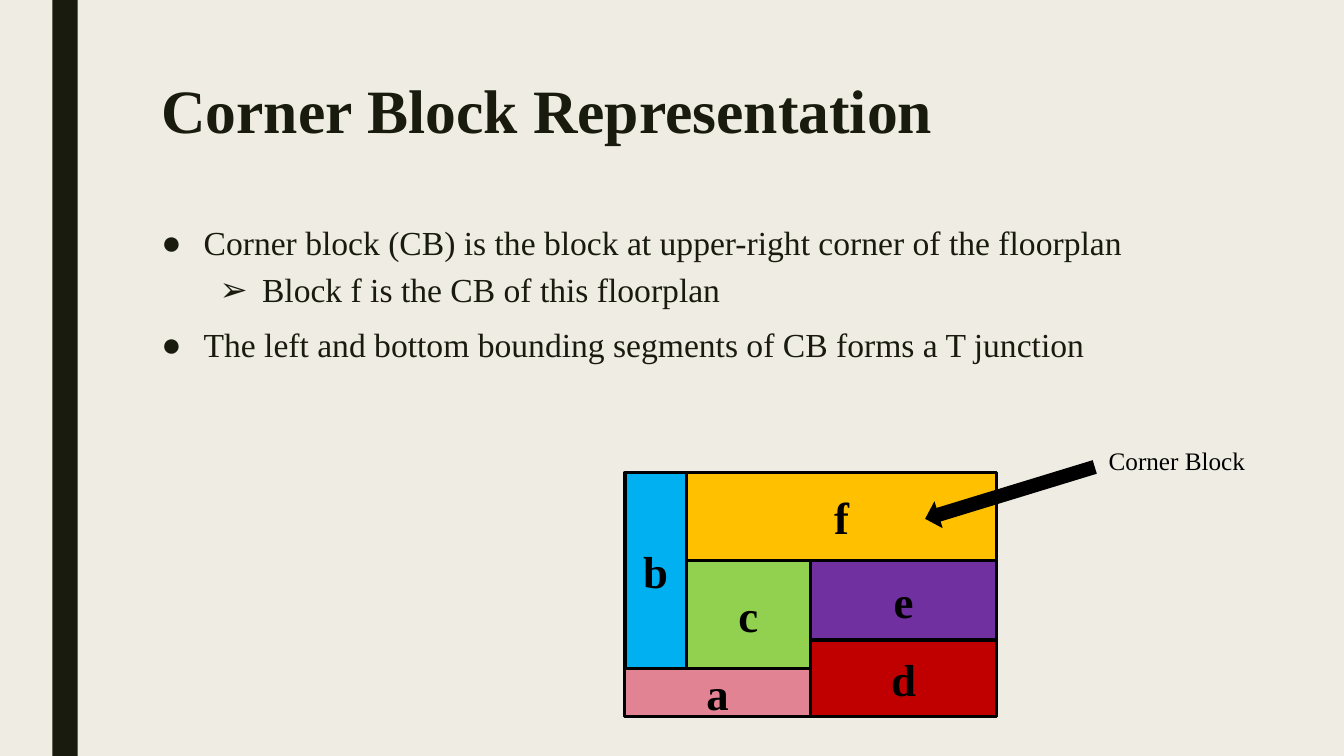
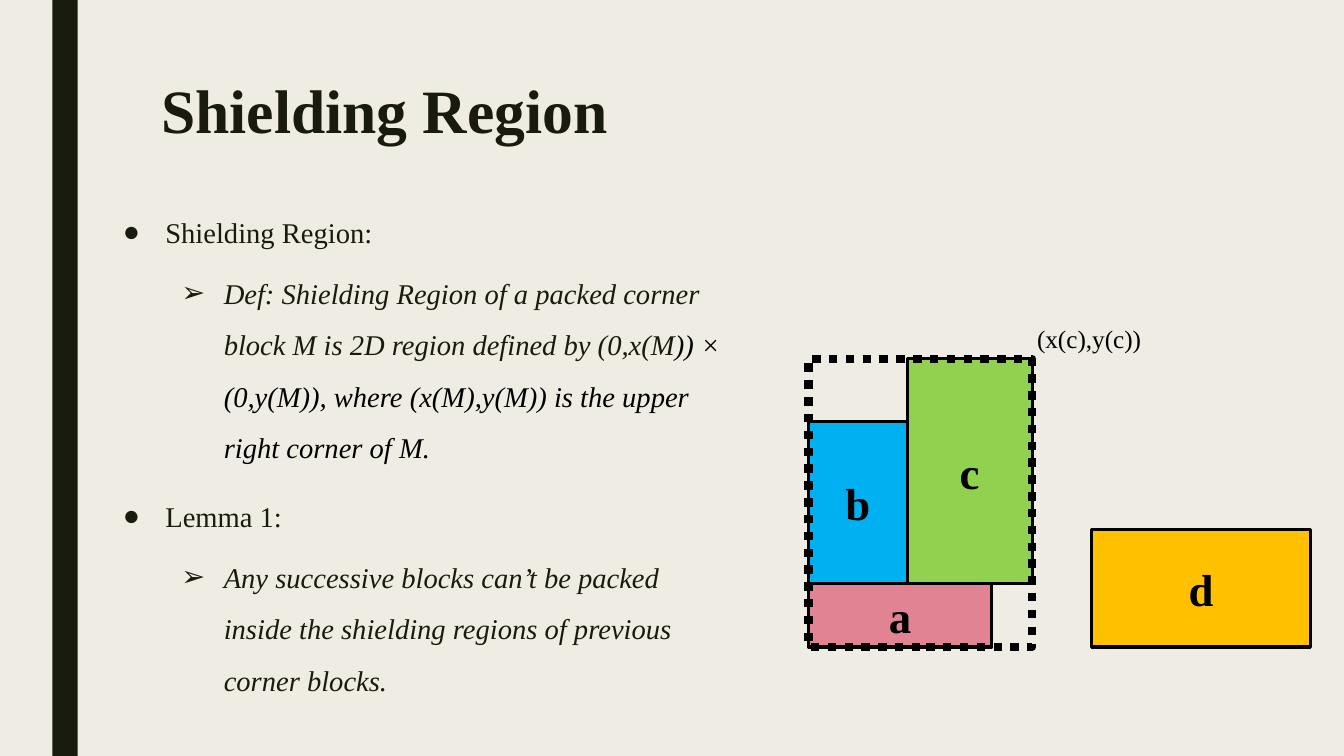
from lxml import etree
from pptx import Presentation
from pptx.dml.color import RGBColor
from pptx.enum.dml import MSO_LINE
from pptx.enum.shapes import MSO_SHAPE
from pptx.enum.text import MSO_ANCHOR, MSO_AUTO_SIZE, PP_ALIGN
from pptx.oxml.ns import qn
from pptx.util import Inches, Pt

RECTANGLE, LEFT_ARROW = MSO_SHAPE.RECTANGLE, MSO_SHAPE.LEFT_ARROW
TOP, MIDDLE = MSO_ANCHOR.TOP, MSO_ANCHOR.MIDDLE
LEFT, CENTER = PP_ALIGN.LEFT, PP_ALIGN.CENTER
NO_AUTOFIT = MSO_AUTO_SIZE.NONE
DOTTED = MSO_LINE.ROUND_DOT

SLIDE_HEIGHT = 7.5
SLIDE_WIDTH = SLIDE_HEIGHT * 16 / 9
FONT = "Times New Roman"
PAPER, INK, BLACK = "EFEDE3", "191B0E", "000000"
GOLD, PURPLE, GREEN = "FFC000", "7030A0", "92D050"
BLUE, RED, PINK = "00B0F0", "C00000", "E28394"
HANGING = 0.42
LEVELS = [("●", 0.42, 10), ("➢", 1, 5)]

CORNER_COLUMNS = [6.2, 6.81, 8.04, 9.89]
CORNER_ROWS = [4.69, 5.56, 6.35, 6.63, 7.11]
CORNER_BLOCKS = [
    ("f", GOLD, (1, 3), (0, 1)),
    ("e", PURPLE, (2, 3), (1, 2)),
    ("c", GREEN, (1, 2), (1, 3)),
    ("b", BLUE, (0, 1), (0, 3)),
    ("d", RED, (2, 3), (2, 4)),
    ("a", PINK, (0, 2), (3, 4)),
]
SHIELD_COLUMNS = [8.02, 9, 9.84, 10.24, 10.83, 13]
SHIELD_ROWS = [3.56, 4.18, 5.25, 5.79, 6.42]
SHIELD_BLOCKS = [
    ("c", GREEN, (1, 3), (0, 3)),
    ("b", BLUE, (0, 1), (1, 3)),
    ("a", PINK, (0, 2), (3, 4)),
    ("d", GOLD, (4, 5), (2, 4)),
]

CORNER_POINTS = [
    (0, [("Corner block (CB) is the block at upper-right corner of the floorplan", INK)]),
    (1, [("Block f is the CB of this floorplan", INK)]),
    (0, [("The left and bottom bounding segments of CB forms a T junction", INK)]),
]
SHIELD_POINTS = [
    (0, [("Shielding Region:", INK)]),
    (1, [
        ("Def: Shielding Region of a packed corner block M is 2D region defined by (0,x(M", INK),
        (")) × (0,y(M)), where (x(M),y(M)) is the upper right corner of M.", BLACK),
    ]),
    (0, [("Lemma 1:", INK)]),
    (1, [("Any successive blocks can’t be packed inside the shielding regions "
          "of previous corner blocks.", INK)]),
]


def rgb(value):
    """Turn a hex string into a colour."""
    return RGBColor.from_string(value)


def place(shape, left, top, width, height):
    """Position a shape in inches."""
    shape.left, shape.top = Inches(left), Inches(top)
    shape.width, shape.height = Inches(width), Inches(height)


def add_run(paragraph, text, size, colour=BLACK, bold=False, italic=False):
    """Append one formatted run."""
    run = paragraph.add_run()
    run.text = text
    font = run.font
    font.name, font.size = FONT, Pt(size)
    font.bold, font.italic = bold, italic
    font.color.rgb = rgb(colour)


def add_figure(slide, kind, box, fill=None, line=None, line_width=2.25):
    """Add a preset shape without shadow."""
    shape = slide.shapes.add_shape(kind, *map(Inches, box))
    shape.shadow.inherit = False
    if fill:
        shape.fill.solid()
        shape.fill.fore_color.rgb = rgb(fill)
    else:
        shape.fill.background()
    if line:
        shape.line.color.rgb = rgb(line)
        shape.line.width = Pt(line_width)
    else:
        shape.line.fill.background()
    return shape


def grid_box(columns, rows, across, down):
    """Return the box between two column edges and two row edges."""
    left, right = (columns[index] for index in across)
    top, bottom = (rows[index] for index in down)
    return left, top, right - left, bottom - top


def add_floorplan(slide, blocks, columns, rows):
    """Draw lettered blocks on a grid of edges."""
    for letter, colour, across, down in blocks:
        block = add_figure(slide, RECTANGLE, grid_box(columns, rows, across, down), colour, BLACK)
        block.text_frame.vertical_anchor = MIDDLE
        paragraph = block.text_frame.paragraphs[0]
        paragraph.alignment = CENTER
        add_run(paragraph, letter, 32, bold=True)


def add_label(slide, text, box):
    """Add a short caption."""
    frame = slide.shapes.add_textbox(*map(Inches, box)).text_frame
    frame.word_wrap = True
    add_run(frame.paragraphs[0], text, 18)


def set_bullet(paragraph, character, indent):
    """Give a paragraph a hanging bullet."""
    properties = paragraph._p.get_or_add_pPr()
    properties.set("marL", str(Inches(indent)))
    properties.set("indent", str(-Inches(HANGING)))
    etree.SubElement(properties, qn("a:buChar")).set("char", character)


def fill_body(slide, points, box, size, spacing, italic_details=False):
    """Write the bulleted list into the body placeholder."""
    body = slide.placeholders[1]
    place(body, *box)
    frame = body.text_frame
    frame.auto_size, frame.vertical_anchor = NO_AUTOFIT, TOP
    for index, (level, runs) in enumerate(points):
        paragraph = frame.add_paragraph() if index else frame.paragraphs[0]
        character, indent, before = LEVELS[level]
        paragraph.level, paragraph.alignment = level, LEFT
        paragraph.line_spacing = spacing
        paragraph.space_before, paragraph.space_after = Pt(before), Pt(2)
        set_bullet(paragraph, character, indent)
        for text, colour in runs:
            add_run(paragraph, text, size, colour, italic=italic_details and level == 1)


def style_template(presentation):
    """Set the shared slide size, background and title position."""
    presentation.slide_width = Inches(SLIDE_WIDTH)
    presentation.slide_height = Inches(SLIDE_HEIGHT)
    fill = presentation.slide_master.background.fill
    fill.solid()
    fill.fore_color.rgb = rgb(PAPER)
    place(presentation.slide_layouts[1].placeholders[0], 1.5, 0.75, 10.5, 1.62)


def add_titled_slide(presentation, title):
    """Add a slide with its side band and title."""
    slide = presentation.slides.add_slide(presentation.slide_layouts[1])
    add_figure(slide, RECTANGLE, (0.52, 0, 0.25, SLIDE_HEIGHT), INK)
    frame = slide.shapes.title.text_frame
    frame.auto_size, frame.vertical_anchor = NO_AUTOFIT, TOP
    paragraph = frame.paragraphs[0]
    paragraph.alignment, paragraph.line_spacing = LEFT, 0.89
    add_run(paragraph, title, 44, INK, bold=True)
    return slide


def build_corner_slide(presentation):
    """Show the corner block of a floorplan."""
    slide = add_titled_slide(presentation, "Corner Block Representation")
    fill_body(slide, CORNER_POINTS, (1.5, 2.18, 10.5, 3.92), 24, 0.94)
    add_floorplan(slide, CORNER_BLOCKS, CORNER_COLUMNS, CORNER_ROWS)
    arrow = add_figure(slide, LEFT_ARROW, (9.14, 4.75, 1.76, 0.28), BLACK)
    arrow.rotation = 343
    add_label(slide, "Corner Block", (10.9, 4.37, 1.89, 0.4))


def build_shield_slide(presentation):
    """Show the shielding region around packed blocks."""
    slide = add_titled_slide(presentation, "Shielding Region")
    fill_body(slide, SHIELD_POINTS, (1.12, 1.91, 6.21, 5.08), 20.4, 1.5, italic_details=True)
    add_floorplan(slide, SHIELD_BLOCKS, SHIELD_COLUMNS, SHIELD_ROWS)
    region_box = grid_box(SHIELD_COLUMNS, SHIELD_ROWS, (0, 3), (0, 4))
    region = add_figure(slide, RECTANGLE, region_box, line=BLACK, line_width=6)
    region.line.dash_style = DOTTED
    add_label(slide, "(x(c),y(c))", (10.19, 3.16, 2.37, 0.39))


def main():
    """Build and save the presentation."""
    presentation = Presentation()
    style_template(presentation)
    build_corner_slide(presentation)
    build_shield_slide(presentation)
    presentation.save("out.pptx")


if __name__ == "__main__":
    main()
